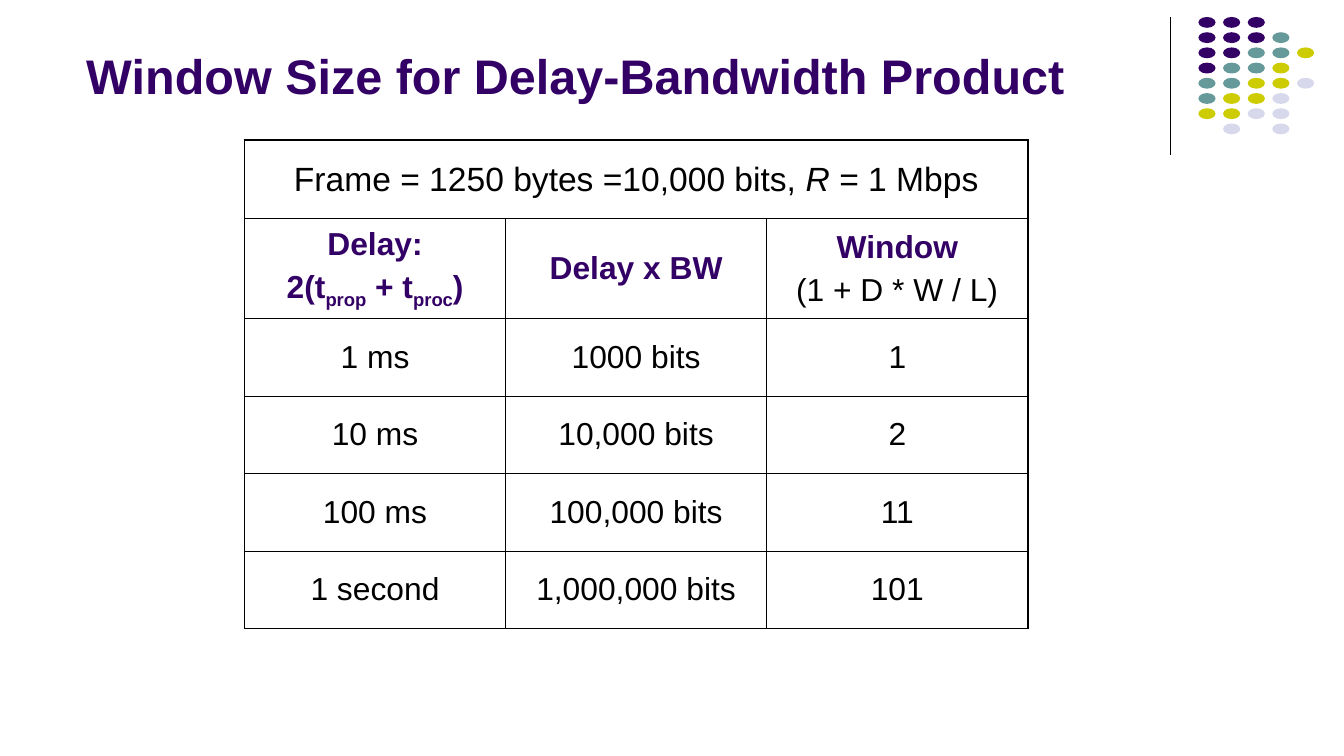
import lxml.etree
import pptx
import pptx.dml.color
import pptx.enum.shapes
import pptx.enum.text
import pptx.oxml.ns
import pptx.util

Pt = pptx.util.Pt
ALIGN = pptx.enum.text.PP_ALIGN
ANCHOR = pptx.enum.text.MSO_ANCHOR
PURPLE, TEAL, OLIVE, LAVENDER, BLACK = "330066", "669999", "CCCC00", "D8D8EC", "000000"


def color(hex_string):
    return pptx.dml.color.RGBColor.from_string(hex_string)


def add_child(parent, tag, **attributes):
    return lxml.etree.SubElement(parent, pptx.oxml.ns.qn(tag), attributes)


def write(paragraph, text, size=17, fill=BLACK, bold=False, italic=False, baseline=0):
    run = paragraph.add_run()
    run.text = text
    font = run.font
    font.name, font.size, font.bold, font.italic = "Arial", Pt(size), bold, italic
    font.color.rgb = color(fill)
    if baseline:
        run._r.get_or_add_rPr().set("baseline", str(baseline * 1000))


class SlideBuilder:
    thin, thick = 0.45, 1.08

    def __init__(self, slide):
        self.slide = slide

    def title(self, text, left, top, width, height):
        shape = self.slide.shapes.title
        shape.left, shape.top, shape.width, shape.height = map(Pt, (left, top, width, height))
        frame = shape.text_frame
        frame.auto_size = pptx.enum.text.MSO_AUTO_SIZE.NONE
        frame.word_wrap = True
        frame.vertical_anchor = ANCHOR.BOTTOM
        frame.paragraphs[0].alignment = ALIGN.LEFT
        write(frame.paragraphs[0], text, size=26, fill=PURPLE, bold=True)

    def line(self, start_x, start_y, end_x, end_y, width):
        connector = self.slide.shapes.add_connector(
            pptx.enum.shapes.MSO_CONNECTOR.STRAIGHT, *map(Pt, (start_x, start_y, end_x, end_y)))
        connector.line.width = Pt(width)
        connector.line.color.rgb = color(BLACK)
        add_child(connector._element.spPr, "a:effectLst")

    def dot(self, left, top, width, height, fill):
        shape = self.slide.shapes.add_shape(
            pptx.enum.shapes.MSO_SHAPE.OVAL, *map(Pt, (left, top, width, height)))
        shape.shadow.inherit = False
        shape.fill.solid()
        shape.fill.fore_color.rgb = color(fill)
        shape.line.fill.background()

    def borders(self, cell, outer_sides):
        properties = cell._tc.get_or_add_tcPr()
        for side in "LRTB":
            width = self.thick if side in outer_sides else self.thin
            border = add_child(properties, "a:ln" + side, w=str(Pt(width)))
            add_child(add_child(border, "a:solidFill"), "a:srgbClr", val=BLACK)

    def cell(self, cell, paragraphs, outer_sides):
        self.borders(cell, outer_sides)
        cell.fill.background()
        cell.vertical_anchor = ANCHOR.MIDDLE
        cell.margin_left = cell.margin_right = Pt(6)
        cell.margin_top = cell.margin_bottom = Pt(3.6)
        for index, runs in enumerate(paragraphs):
            frame = cell.text_frame
            paragraph = frame.add_paragraph() if index else frame.paragraphs[0]
            paragraph.alignment = ALIGN.CENTER
            paragraph.space_before = Pt(4.2)
            for text, style in runs:
                write(paragraph, text, **style)

    def table(self, rows, left, top, column_width, row_heights):
        row_count, column_count = len(rows), len(rows[-1])
        table = self.slide.shapes.add_table(
            row_count, column_count, Pt(left), Pt(top),
            Pt(column_width * column_count), Pt(sum(row_heights))).table
        table.first_row = table.horz_banding = False
        for column in table.columns:
            column.width = Pt(column_width)
        for row_index, row in enumerate(rows):
            table.rows[row_index].height = Pt(row_heights[row_index])
            # A row with a single entry spans the table
            if len(row) == 1:
                table.cell(row_index, 0).merge(table.cell(row_index, column_count - 1))
            for column_index, paragraphs in enumerate(row):
                outer_sides = (("L" if column_index == 0 else "")
                               + ("R" if column_index == len(row) - 1 else "")
                               + ("T" if row_index == 0 else "")
                               + ("B" if row_index == row_count - 1 else ""))
                self.cell(table.cell(row_index, column_index), paragraphs, outer_sides)


presentation = pptx.Presentation()
presentation.slide_width, presentation.slide_height = Pt(720), Pt(405)
builder = SlideBuilder(presentation.slides.add_slide(presentation.slide_layouts[5]))

# Corner decoration: a rule and a grid of dots
builder.line(627.1, 9.2, 627.1, 83, 0.74)
dot_colors = {"P": PURPLE, "T": TEAL, "O": OLIVE, "L": LAVENDER}
dot_rows = ["PPP", "PPPT", "PPTTO", "PTTO", "TTOOL", "TOOL", "OOLL", " L L"]
for row_index, dot_row in enumerate(dot_rows):
    for column_index, letter in enumerate(dot_row):
        if letter in dot_colors:
            builder.dot(642 + 13.2 * column_index, 9.1 + 8.15 * row_index,
                        9.2, 5.8, dot_colors[letter])

# Title
builder.title("Window Size for Delay-Bandwidth Product", 39, 10, 648, 49.7)

# Window size table
banner = {"size": 18}
header = {"fill": PURPLE, "bold": True}
subscript = {**header, "baseline": -25}
values = [
    ("1 ms", "1000 bits", "1"),
    ("10 ms", "10,000 bits", "2"),
    ("100 ms", "100,000 bits", "11"),
    ("1 second", "1,000,000 bits", "101"),
]
rows = [
    [[[("Frame = 1250 bytes =10,000 bits, ", banner),
       ("R", {**banner, "italic": True}), (" = 1 Mbps", banner)]]],
    [[[("Delay:", header)],
      [("2(t", header), ("prop", subscript), (" + t", header),
       ("proc", subscript), (")", header)]],
     [[("Delay x BW", header)]],
     [[("Window", header)], [("(1 + D * W / L)", {})]]],
] + [[[[(text, {})]] for text in row] for row in values]
builder.table(rows, 131, 75, 139.9, [42.2, 53.5] + [41.5] * 4)

presentation.save("out.pptx")
